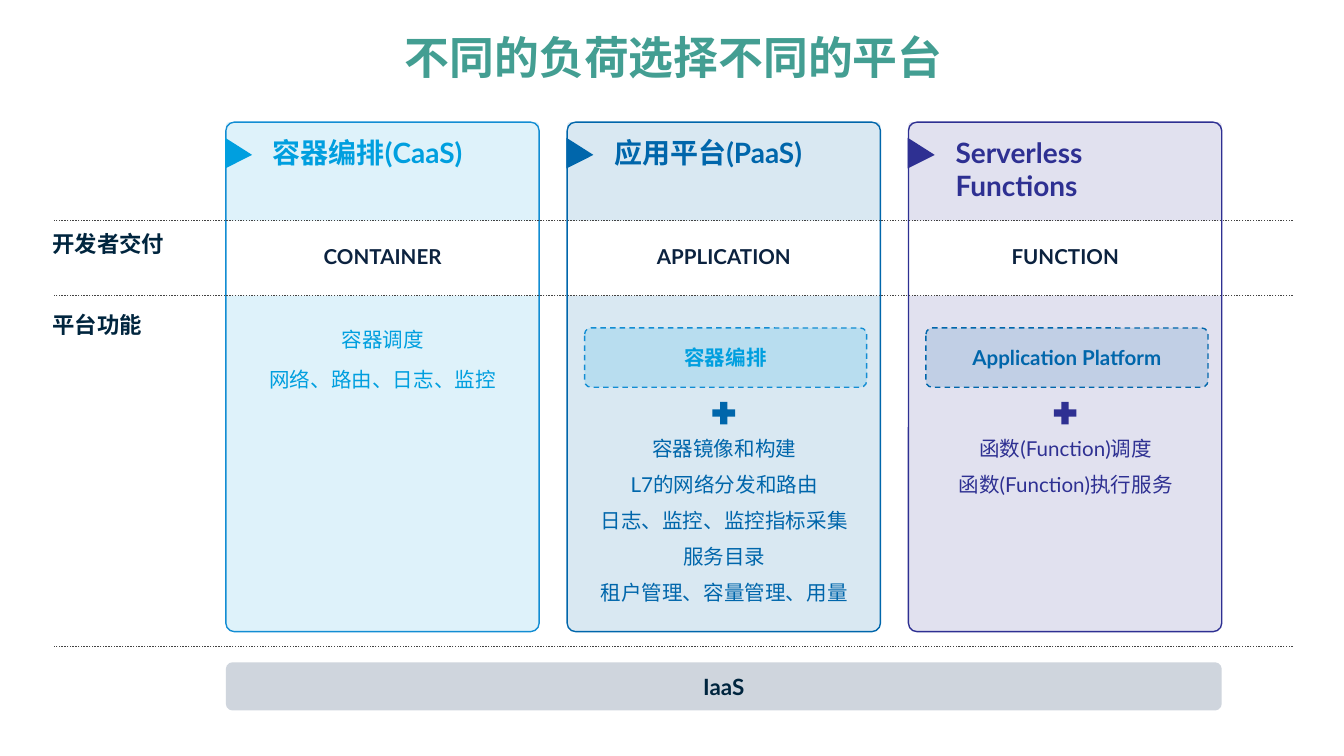
from pptx import Presentation
from pptx.dml.color import RGBColor
from pptx.enum.dml import MSO_LINE
from pptx.enum.shapes import MSO_CONNECTOR, MSO_SHAPE
from pptx.enum.text import MSO_ANCHOR, PP_ALIGN
from pptx.oxml.ns import qn
from pptx.util import Cm, Pt

ROUND, ROUND_TOP = MSO_SHAPE.ROUNDED_RECTANGLE, MSO_SHAPE.ROUND_2_SAME_RECTANGLE
TRIANGLE, PLUS = MSO_SHAPE.ISOSCELES_TRIANGLE, MSO_SHAPE.MATH_PLUS
DASH, DOT = MSO_LINE.DASH, MSO_LINE.ROUND_DOT
LEFT, CENTER = PP_ALIGN.LEFT, PP_ALIGN.CENTER
TOP, MIDDLE = MSO_ANCHOR.TOP, MSO_ANCHOR.MIDDLE

THEME = {
    "latin": "Lato", "cjk": "Noto Sans CJK SC",
    "title": "439E92", "ink": "00253E", "deliverable": "0B223F",
    "rule": "434343", "base": "CFD5DD",
    "caas": "009FDF", "caas_line": "128DD3", "paas": "0066AB", "faas": "2E3092",
    "title_size": 24, "head_size": 15, "label_size": 12, "body_size": 11,
    "line_width": 0.75,
}

TITLE = "不同的负荷选择不同的平台"
ROW_LABELS = [("开发者交付", 4.11), ("平台功能", 5.64)]
RULES = [4.17, 5.59, 12.22]
BASE = "IaaS"
COLUMNS = [
    {"head": "容器编排(CaaS)", "color": "caas", "line": "caas_line", "tint": 13,
     "deliverable": "CONTAINER", "builds_on": None,
     "features": ["容器调度", "网络、路由、日志、监控"]},
    {"head": "应用平台(PaaS)", "color": "paas", "line": "paas", "tint": 15,
     "deliverable": "APPLICATION",
     "builds_on": {"text": "容器编排", "color": "caas", "line": "caas_line", "tint": 15},
     "features": ["容器镜像和构建", "L7的网络分发和路由", "日志、监控、监控指标采集",
                  "服务目录", "租户管理、容量管理、用量"]},
    {"head": "Serverless Functions", "color": "faas", "line": "faas", "tint": 14,
     "deliverable": "FUNCTION",
     "builds_on": {"text": "Application Platform", "color": "paas", "line": "paas",
                   "tint": 14},
     "features": ["函数(Function)调度", "函数(Function)执行服务"]},
]

# Column grid, in centimetres
COL_LEFT, COL_TOP, COL_W, COL_H, PITCH = 4.27, 2.31, 5.92, 9.63, 6.45
HEAD_H = RULES[0] - COL_TOP
BODY_H = COL_TOP + COL_H - RULES[1]
GRID_W = PITCH * (len(COLUMNS) - 1) + COL_W


def rgb(name):
    return RGBColor.from_string(THEME[name])


def write(s, lines, size, color, bold=True, align=CENTER, anchor=MIDDLE,
          margins=(0.25, 0.13), after=0, latin="latin"):
    tf = s.text_frame
    tf.word_wrap = True
    tf.vertical_anchor = anchor
    tf.margin_left = tf.margin_right = Cm(margins[0])
    tf.margin_top = tf.margin_bottom = Cm(margins[1])
    font = {"name": THEME[latin], "size": Pt(THEME[size]), "bold": bold}
    for i, line in enumerate(lines):
        p = tf.paragraphs[0] if i == 0 else tf.add_paragraph()
        p.alignment = align
        p.space_after = Pt(after)
        r = p.add_run()
        r.text = line
        for key, value in font.items():
            setattr(r.font, key, value)
        r.font.color.rgb = rgb(color)
        ea = r.font._element.makeelement(qn("a:ea"), {"typeface": THEME["cjk"]})
        r.font._element.append(ea)


def add_text(box, lines, size, color, **style):
    s = shapes.add_textbox(*map(Cm, box))
    write(s, lines, size, color, **{"anchor": TOP, "margins": (0.25, 0.25), **style})


def add_shape(kind, box, fill=None, tint=None, line=None, dash=None, adj=None, rotation=0):
    """Add a preset shape; tint is the fill's opacity in percent."""
    s = shapes.add_shape(kind, *map(Cm, box))
    s.shadow.inherit = False
    s.rotation = rotation
    if adj is not None:
        s.adjustments[0] = adj
    if fill:
        s.fill.solid()
        s.fill.fore_color.rgb = rgb(fill)
    else:
        s.fill.background()
    if tint:
        clr = s._element.spPr.find(f"{qn('a:solidFill')}/{qn('a:srgbClr')}")
        clr.append(clr.makeelement(qn("a:alpha"), {"val": str(tint * 1000)}))
    if line:
        style_line(s.line, line, dash)
    else:
        s.line.fill.background()
    return s


def style_line(line, color, dash):
    line.color.rgb = rgb(color)
    line.width = Pt(THEME["line_width"])
    if dash:
        line.dash_style = dash


def add_rule(y):
    c = shapes.add_connector(MSO_CONNECTOR.STRAIGHT, Cm(24.43), Cm(y), Cm(1.02), Cm(y))
    style_line(c.line, "rule", DOT)
    spPr = c._element.spPr
    spPr.append(spPr.makeelement(qn("a:effectLst"), {}))


def add_column_frame(x, col):
    color, tint = col["color"], col["tint"]
    add_shape(ROUND_TOP, (x, RULES[1], COL_W, BODY_H), color, tint, adj=0.034, rotation=180)
    add_shape(ROUND_TOP, (x, COL_TOP, COL_W, HEAD_H), color, tint, adj=0.034)
    add_shape(ROUND, (x, COL_TOP, COL_W, COL_H), line=col["line"], adj=0.027)


def add_column_content(x, col):
    color, lower = col["color"], col["builds_on"]
    add_shape(TRIANGLE, (x - 0.05, 2.64, 0.58, 0.51), color, adj=0.56, rotation=90)
    add_text((x + 0.64, COL_TOP, 4.65, 1.4), [col["head"]], "head_size", color, align=LEFT)
    s = add_shape(ROUND, (x + 0.64, 4.45, 4.65, 0.81), adj=0.5)
    write(s, [col["deliverable"]], "body_size", "deliverable")
    if lower:
        s = add_shape(ROUND, (x + 0.33, 6.2, 5.33, 1.12), lower["color"], lower["tint"],
                      lower["line"], DASH, 0.105)
        write(s, [lower["text"]], "body_size", lower["color"])
        add_shape(PLUS, (x + 2.67, 7.52, 0.58, 0.58), color, adj=0.235)
        box, after = (x + 0.15, 8, 5.64, 0.86), 6
    else:
        box, after = (x + 0.45, 5.94, 5.03, 0.86), 8
    add_text(box, col["features"], "body_size", color, bold=False, after=after)


prs = Presentation()
prs.slide_width, prs.slide_height = Cm(25.4), Cm(14.29)
shapes = prs.slides.add_slide(prs.slide_layouts[6]).shapes

placed = [(COL_LEFT + i * PITCH, col) for i, col in enumerate(COLUMNS)]
for x, col in placed:
    add_column_frame(x, col)
for y in RULES:
    add_rule(y)
for x, col in placed:
    add_column_content(x, col)

add_text((0.71, 0.43, 24.05, 1.55), [TITLE], "title_size", "title",
         margins=(0.13, 0.13), latin="cjk")
for label, y in ROW_LABELS:
    add_text((0.74, y, 2.9, 1.4), [label], "label_size", "ink", align=LEFT)
s = add_shape(ROUND, (COL_LEFT, 12.52, GRID_W, 0.91), "base", adj=0.136)
write(s, [BASE], "label_size", "ink", margins=(0, 0))

prs.save("out.pptx")
